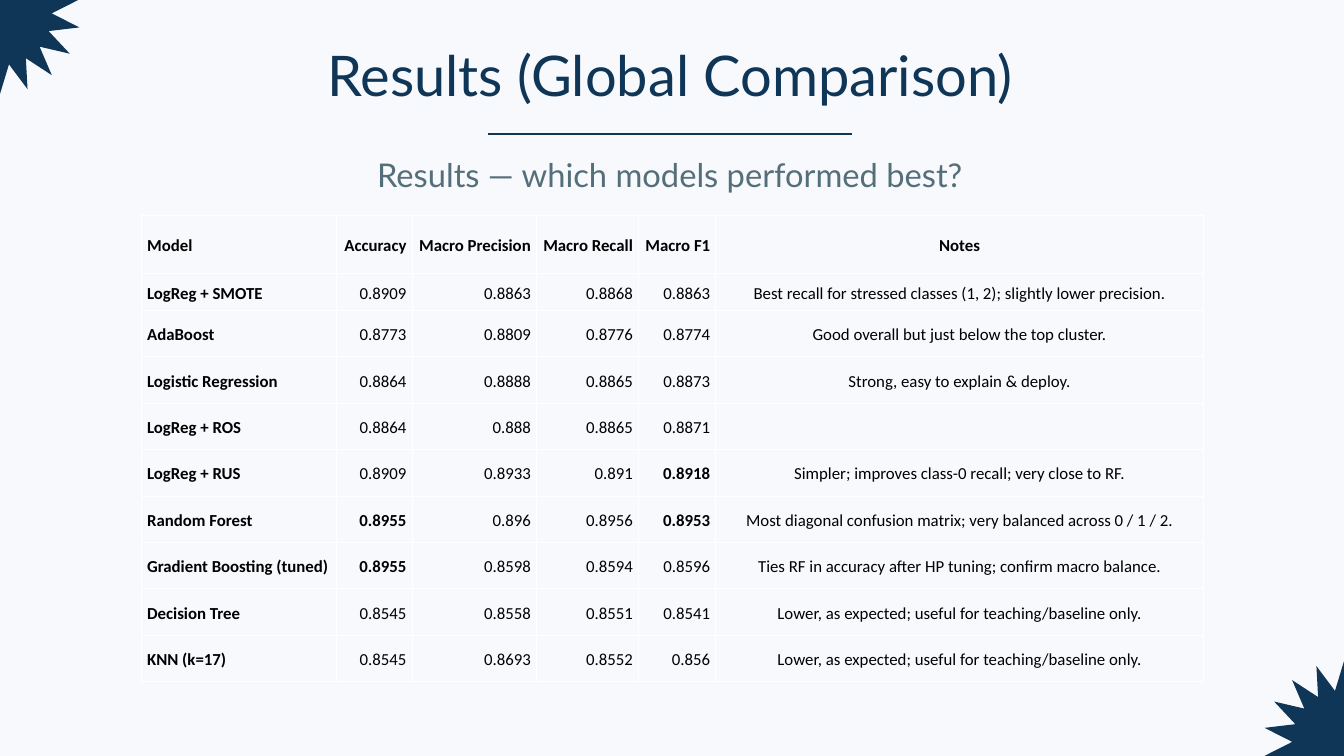
import math

from lxml import etree
from pptx import Presentation
from pptx.dml.color import RGBColor
from pptx.enum import shapes, text
from pptx.oxml.ns import qn
from pptx.util import Inches, Pt

NAVY, SLATE, BLACK, WHITE, PAPER = "0F3557", "546E7A", "000000", "FFFFFF", "F7F9FC"
LEFT, CENTER, RIGHT = text.PP_ALIGN.LEFT, text.PP_ALIGN.CENTER, text.PP_ALIGN.RIGHT

# text, top, height, size, line spacing, colour
HEADINGS = [
    ("Results (Global Comparison)", 0.69, 0.95, 60, 66, NAVY),
    ("Results — which models performed best?", 2.31, 0.59, 35, 42, SLATE),
]
# heading, width, alignment
COLUMNS = [
    ("Model", 2.89, LEFT),
    ("Accuracy", 1.13, RIGHT),
    ("Macro Precision", 1.85, RIGHT),
    ("Macro Recall", 1.52, RIGHT),
    ("Macro F1", 1.15, RIGHT),
    ("Notes", 7.26, CENTER),
]
RESULTS = [
    ("LogReg + SMOTE", "0.8909", "0.8863", "0.8868", "0.8863",
     "Best recall for stressed classes (1, 2); slightly lower precision."),
    ("AdaBoost", "0.8773", "0.8809", "0.8776", "0.8774",
     "Good overall but just below the top cluster."),
    ("Logistic Regression", "0.8864", "0.8888", "0.8865", "0.8873",
     "Strong, easy to explain & deploy."),
    ("LogReg + ROS", "0.8864", "0.888", "0.8865", "0.8871", ""),
    ("LogReg + RUS", "0.8909", "0.8933", "0.891", "0.8918",
     "Simpler; improves class-0 recall; very close to RF."),
    ("Random Forest", "0.8955", "0.896", "0.8956", "0.8953",
     "Most diagonal confusion matrix; very balanced across 0 / 1 / 2."),
    ("Gradient Boosting (tuned)", "0.8955", "0.8598", "0.8594", "0.8596",
     "Ties RF in accuracy after HP tuning; confirm macro balance."),
    ("Decision Tree", "0.8545", "0.8558", "0.8551", "0.8541",
     "Lower, as expected; useful for teaching/baseline only."),
    ("KNN (k=17)", "0.8545", "0.8693", "0.8552", "0.856",
     "Lower, as expected; useful for teaching/baseline only."),
]
BEST_SCORES = {
    ("LogReg + RUS", "Macro F1"),
    ("Random Forest", "Accuracy"),
    ("Random Forest", "Macro F1"),
    ("Gradient Boosting (tuned)", "Accuracy"),
}
ROW_HEIGHTS = [0.87, 0.55] + [0.69] * 8
STAR_CENTERS = [(20, 11.04), (0, 0.2)]


def rgb(color):
    return RGBColor.from_string(color)


def style(paragraph, size, font, color, spacing, align, bold=False):
    paragraph.alignment = align
    paragraph.line_spacing = Pt(spacing)
    paragraph.font.size = Pt(size)
    paragraph.font.name = font
    paragraph.font.bold = bold
    paragraph.font.color.rgb = rgb(color)


def add_heading(slide, wording, top, height, size, spacing, color):
    box = slide.shapes.add_textbox(Inches(2.11), Inches(top), Inches(15.72), Inches(height))
    frame = box.text_frame
    frame.word_wrap = True
    frame.margin_left = frame.margin_right = frame.margin_top = frame.margin_bottom = 0
    frame.text = wording
    style(frame.paragraphs[0], size, "Lato", color, spacing, CENTER)


def add_rule(slide):
    rule = slide.shapes.add_connector(
        shapes.MSO_CONNECTOR.STRAIGHT, Inches(7.26), Inches(2), Inches(12.68), Inches(2))
    rule.line.color.rgb = rgb(NAVY)
    rule.line.width = Pt(2)
    etree.SubElement(rule._element.spPr, qn("a:effectLst"))


def add_star(slide, center_x, center_y, spikes=18, outer=1.2, inner=0.77):
    points = []
    for i in range(2 * spikes):
        angle = math.pi * i / spikes
        radius = inner if i % 2 else outer
        points.append((Inches(center_x + radius * math.sin(angle)),
                       Inches(center_y - radius * math.cos(angle))))
    builder = slide.shapes.build_freeform(*points[0])
    builder.add_line_segments(points[1:], close=True)
    star = builder.convert_to_shape()
    star.shadow.inherit = False
    star.fill.solid()
    star.fill.fore_color.rgb = rgb(NAVY)
    star.line.fill.background()


def set_borders(cell, color, width):
    properties = cell._tc.get_or_add_tcPr()
    for position, side in enumerate(("a:lnL", "a:lnR", "a:lnT", "a:lnB")):
        border = etree.Element(qn(side), w=str(Pt(width)))
        fill = etree.SubElement(border, qn("a:solidFill"))
        etree.SubElement(fill, qn("a:srgbClr"), val=color)
        properties.insert(position, border)


def add_results(slide):
    rows = [tuple(heading for heading, _, _ in COLUMNS)] + RESULTS
    table = slide.shapes.add_table(
        len(rows), len(COLUMNS), Inches(2.11), Inches(3.2),
        Inches(sum(width for _, width, _ in COLUMNS)), Inches(sum(ROW_HEIGHTS))).table
    table.first_row = table.horz_banding = False
    for column, (_, width, _) in zip(table.columns, COLUMNS):
        column.width = Inches(width)
    for r, (values, height) in enumerate(zip(rows, ROW_HEIGHTS)):
        table.rows[r].height = Inches(height)
        for c, (value, (heading, _, align)) in enumerate(zip(values, COLUMNS)):
            cell = table.cell(r, c)
            cell.text = value
            cell.vertical_anchor = text.MSO_ANCHOR.MIDDLE
            cell.margin_left = cell.margin_right = Inches(0.08)
            cell.margin_top = cell.margin_bottom = Inches(0.08)
            cell.fill.background()
            set_borders(cell, WHITE, 0.75)
            bold = r == 0 or c == 0 or (values[0], heading) in BEST_SCORES
            style(cell.text_frame.paragraphs[0], 18, "Calibri", BLACK, 25.2, align, bold)


def main():
    deck = Presentation()
    deck.slide_width, deck.slide_height = Inches(20), Inches(11.25)
    slide = deck.slides.add_slide(deck.slide_layouts[6])
    slide.background.fill.solid()
    slide.background.fill.fore_color.rgb = rgb(PAPER)
    add_rule(slide)
    for heading in HEADINGS:
        add_heading(slide, *heading)
    for center in STAR_CENTERS:
        add_star(slide, *center)
    add_results(slide)
    deck.save("out.pptx")


if __name__ == "__main__":
    main()
